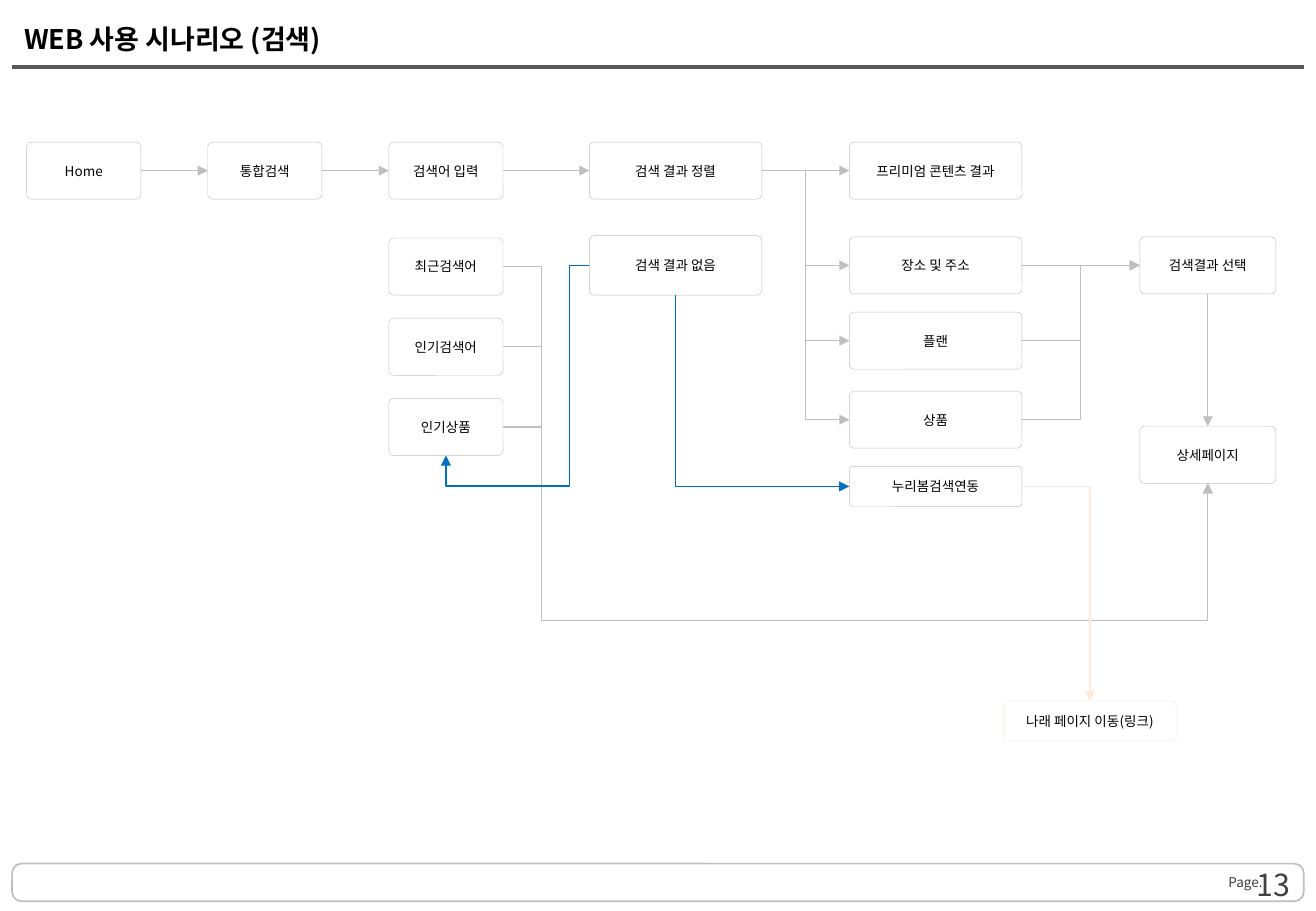
import collections
import pptx
import pptx.dml.color
import pptx.enum.shapes
import pptx.enum.text
import pptx.oxml.ns
import pptx.oxml.xmlchemy
import pptx.util

Box = collections.namedtuple("Box", "left top width height")
Theme = collections.namedtuple(
    "Theme", "font ink muted paper rule grey blue peach title label number")

THEME = Theme("Noto Sans CJK KR", "000000", "404040", "FFFFFF", "595959",
              "BFBFBF", "0070C0", "FDEADA", 16, 8, 18)
PX = 9144
SHAPE = pptx.enum.shapes.MSO_SHAPE
CONNECTOR = pptx.enum.shapes.MSO_CONNECTOR
ALIGN = pptx.enum.text.PP_ALIGN
TOP, LEFT, BOTTOM, RIGHT = range(4)

COLUMNS = {
    "home": (0, 94), "search": (149, 94), "keyword": (298, 94),
    "sort": (463, 142), "result": (677, 142), "link": (804, 142),
    "choice": (916, 112),
}
NODES = {
    "Home": ("home", 0, 47),
    "통합검색": ("search", 0, 47),
    "검색어 입력": ("keyword", 0, 47),
    "최근검색어": ("keyword", 79, 47),
    "인기검색어": ("keyword", 145, 47),
    "인기상품": ("keyword", 211, 47),
    "검색 결과 정렬": ("sort", 0, 47),
    "검색 결과 없음": ("sort", 77, 49),
    "프리미엄 콘텐츠 결과": ("result", 0, 47),
    "장소 및 주소": ("result", 78, 47),
    "플랜": ("result", 140, 47),
    "상품": ("result", 205, 47),
    "누리봄검색연동": ("result", 267, 33),
    "검색결과 선택": ("choice", 78, 47),
    "상세페이지": ("choice", 234, 47),
    "나래 페이지 이동(링크)": ("link", 460, 33),
}
STRAIGHT_STEPS = [
    ("Home", "통합검색"), ("통합검색", "검색어 입력"),
    ("검색어 입력", "검색 결과 정렬"),
    ("검색 결과 정렬", "프리미엄 콘텐츠 결과"),
    ("장소 및 주소", "검색결과 선택"),
]
BRANCHES = [
    ("검색 결과 정렬", "장소 및 주소"), ("검색 결과 정렬", "플랜"),
    ("검색 결과 정렬", "상품"), ("플랜", "검색결과 선택"),
    ("상품", "검색결과 선택"),
]


def emu(*lengths):
    return [pptx.util.Emu(length * PX) for length in lengths]


def rgb(color):
    return pptx.dml.color.RGBColor.from_string(color)


def make_element(tag, **attributes):
    element = pptx.oxml.xmlchemy.OxmlElement(tag)
    for name, value in attributes.items():
        element.set(name, value)
    return element


def write(shape, text, size, color, align, bold=False, inset=10):
    frame = shape.text_frame
    frame.auto_size = pptx.enum.text.MSO_AUTO_SIZE.NONE
    frame.word_wrap = True
    frame.vertical_anchor = pptx.enum.text.MSO_ANCHOR.MIDDLE
    frame.margin_left = frame.margin_right = emu(inset)[0]
    frame.margin_top = frame.margin_bottom = 0
    para = frame.paragraphs[0]
    para.alignment = align
    span = para.add_run()
    span.text = text
    span.font.size = pptx.util.Pt(size)
    span.font.bold = bold
    span.font.color.rgb = rgb(color)
    span.font.name = THEME.font
    latin = span.font._element.find(pptx.oxml.ns.qn("a:latin"))
    latin.addnext(make_element("a:ea", typeface=THEME.font))


def add_panel(page, box, radius, color, weight):
    panel = page.shapes.add_shape(SHAPE.ROUNDED_RECTANGLE, *emu(*box))
    panel.adjustments[0] = radius
    panel.shadow.inherit = False
    panel.fill.solid()
    panel.fill.fore_color.rgb = rgb(THEME.paper)
    panel.line.color.rgb = rgb(color)
    panel.line.width = pptx.util.Pt(weight)
    return panel


def add_line(page, kind, points, color, weight):
    line = page.shapes.add_connector(kind, *emu(*points))
    line.line.color.rgb = rgb(color)
    line.line.width = pptx.util.Pt(weight)
    line._element.spPr.append(make_element("a:effectLst"))
    return line


def add_arrow(page, start, end, kind=CONNECTOR.STRAIGHT, color=THEME.grey,
              arrow="tailEnd"):
    line = add_line(page, kind, (0, 0, 0, 0), color, 0.75)
    line.begin_connect(*start)
    line.end_connect(*end)
    outline = line._element.spPr.find(pptx.oxml.ns.qn("a:ln"))
    outline.append(make_element("a:" + arrow, type="triangle"))
    return line


def bend(line, preset, corner=None):
    geometry = line._element.spPr.find(pptx.oxml.ns.qn("a:prstGeom"))
    geometry.set("prst", preset)
    if corner is None:
        return
    guides = geometry.find(pptx.oxml.ns.qn("a:avLst"))
    across = (corner[0] * PX - line.begin_x) / (line.end_x - line.begin_x)
    down = (corner[1] * PX - line.begin_y) / (line.end_y - line.begin_y)
    for name, ratio in (("adj1", across), ("adj2", down)):
        formula = f"val {round(ratio * 100000)}"
        guides.append(make_element("a:gd", name=name, fmla=formula))


def build_header(page, box):
    title = page.shapes.title
    title.left, title.top, title.width, title.height = emu(*box)
    write(title, "WEB 사용 시나리오 (검색)", THEME.title, THEME.ink,
          ALIGN.LEFT, bold=True)
    base = box.top + box.height
    add_line(page, CONNECTOR.STRAIGHT,
             (box.left, base, box.left + box.width, base), THEME.rule, 2.25)


def build_flow(page, box):
    nodes = {}
    for text, (column, top, height) in NODES.items():
        left, width = COLUMNS[column]
        color = THEME.peach if column == "link" else THEME.grey
        place = Box(box.left + left, box.top + top, width, height)
        nodes[text] = add_panel(page, place, 0.085, color, 0.25)
        write(nodes[text], text, THEME.label, THEME.ink, ALIGN.CENTER)

    for steps, kind in ((STRAIGHT_STEPS, CONNECTOR.STRAIGHT),
                        (BRANCHES, CONNECTOR.ELBOW)):
        for start, end in steps:
            add_arrow(page, (nodes[start], RIGHT), (nodes[end], LEFT), kind)

    detail = nodes["상세페이지"]
    add_arrow(page, (nodes["검색결과 선택"], BOTTOM), (detail, TOP))
    for keyword in ("최근검색어", "인기검색어", "인기상품"):
        line = add_arrow(page, (nodes[keyword], RIGHT), (detail, BOTTOM),
                         CONNECTOR.ELBOW)
        bend(line, "bentConnector4", (box.left + 424, box.top + 394))

    missing, portal = nodes["검색 결과 없음"], nodes["누리봄검색연동"]
    line = add_arrow(page, (missing, LEFT), (nodes["인기상품"], BOTTOM),
                     CONNECTOR.ELBOW, THEME.blue)
    bend(line, "bentConnector4", (box.left + 447, box.top + 283))
    line = add_arrow(page, (portal, LEFT), (missing, BOTTOM),
                     CONNECTOR.ELBOW, THEME.blue, "headEnd")
    bend(line, "bentConnector2")
    line = add_arrow(page, (portal, RIGHT),
                     (nodes["나래 페이지 이동(링크)"], TOP),
                     CONNECTOR.ELBOW, THEME.peach)
    bend(line, "bentConnector2")


def build_footer(page, box):
    add_panel(page, box, 0.25, THEME.grey, 1)
    label = page.shapes.add_textbox(
        *emu(box.left + 1001, box.top + 9, 46, 13))
    write(label, "Page.", THEME.label, THEME.muted, ALIGN.LEFT, inset=0)
    number = page.shapes.add_textbox(
        *emu(box.left + 809, box.top + 9, 253, 16))
    write(number, "13", THEME.number, THEME.muted, ALIGN.RIGHT)


def main():
    deck = pptx.Presentation()
    deck.slide_width, deck.slide_height = emu(1083, 750)
    page = deck.slides.add_slide(deck.slide_layouts[5])
    build_header(page, Box(10, 8, 1063, 47))
    build_flow(page, Box(22, 117, 1028, 493))
    build_footer(page, Box(10, 711, 1063, 31))
    deck.save("out.pptx")


if __name__ == "__main__":
    main()
